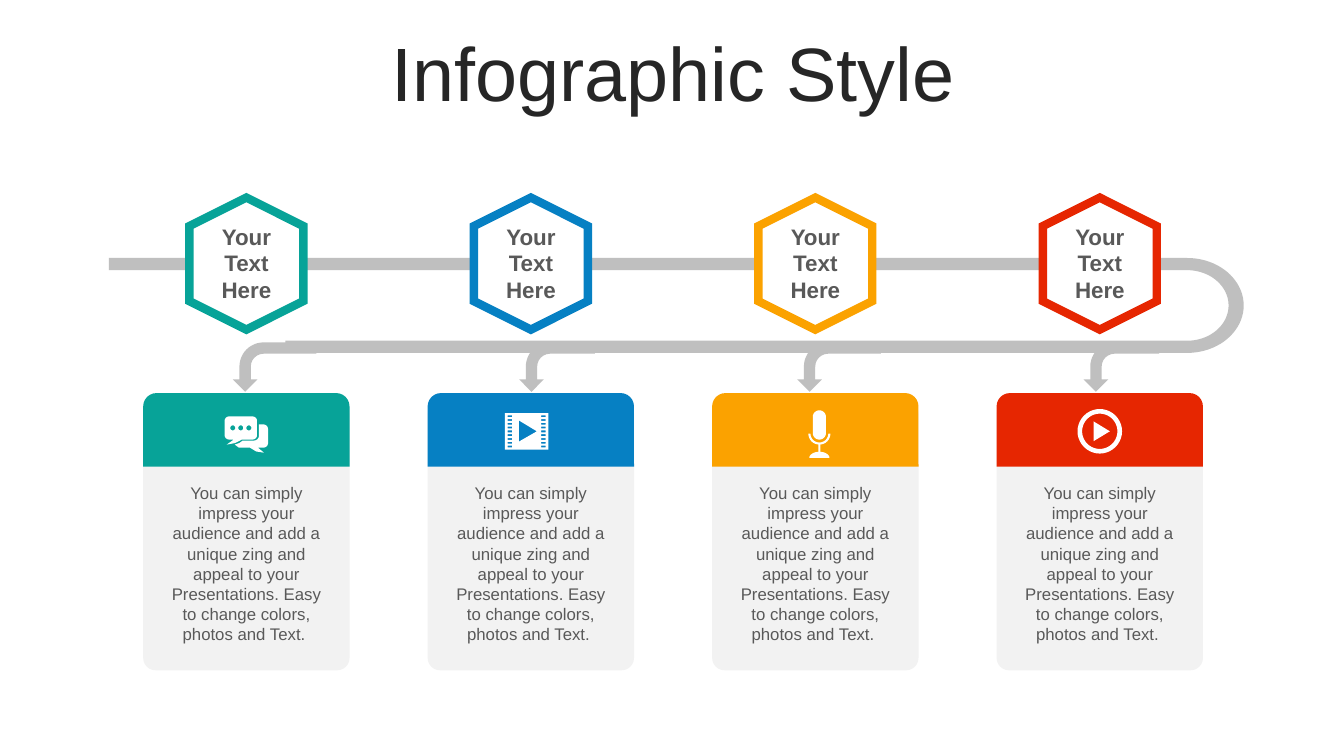
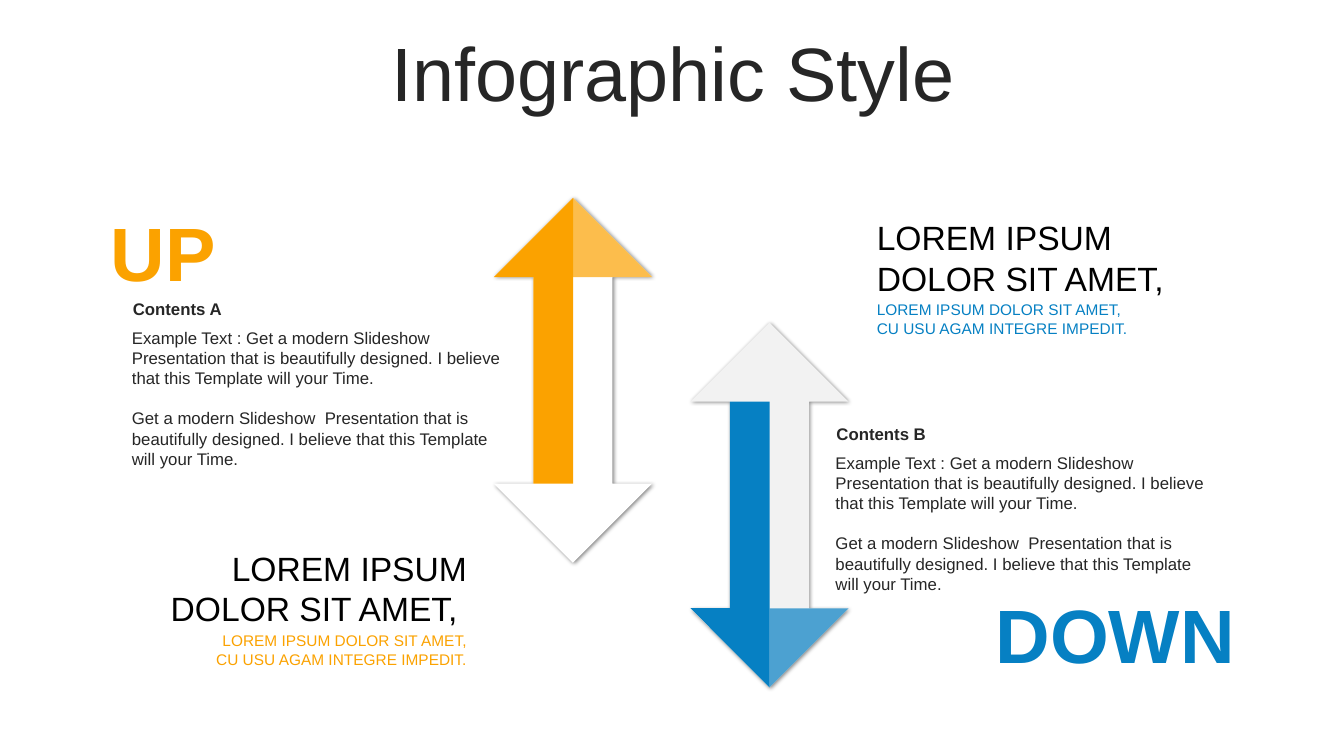
from math import cos, radians, sin

from lxml.etree import SubElement
from pptx import Presentation
from pptx.dml.color import RGBColor
from pptx.enum.shapes import MSO_SHAPE
from pptx.enum.text import MSO_ANCHOR, PP_ALIGN
from pptx.oxml.ns import qn
from pptx.util import Pt

FONT = "Arial"
TEAL, BLUE, ORANGE, RED = "07A398", "0680C3", "FBA200", "E62601"
WHITE, PALE, TRACK = "FFFFFF", "F2F2F2", "BFBFBF"
BLACK, DARK, GREY = "000000", "262626", "595959"

CARD_TEXT = ("You can simply impress your audience and add a unique zing and appeal "
             "to your Presentations. Easy to change colors, photos and Text. ")
PITCH_TEXT = ("Get a modern Slideshow  Presentation that is beautifully designed. "
              "I believe that this Template will your Time.")


def rgb(color):
    return RGBColor.from_string(color)


def paint(shape, color, alpha=None):
    """Flat fill without outline or shadow; alpha is a percentage."""
    shape.shadow.inherit = False
    shape.fill.solid()
    shape.fill.fore_color.rgb = rgb(color)
    shape.line.fill.background()
    if alpha is not None:
        srgb = shape.element.spPr.find(qn("a:solidFill")).find(qn("a:srgbClr"))
        SubElement(srgb, qn("a:alpha"), val=str(alpha * 1000))


def add_preset(slide, kind, left, top, width, height, color, adjustments=()):
    shape = slide.shapes.add_shape(kind, Pt(left), Pt(top), Pt(width), Pt(height))
    paint(shape, color)
    for index, value in enumerate(adjustments):
        shape.adjustments[index] = value
    return shape


def add_outline(slide, contours, color, dx=0, dy=0, alpha=None):
    """Draw closed contours as one shape; inner contours become holes."""
    placed = [[(Pt(x + dx), Pt(y + dy)) for x, y in points] for points in contours]
    builder = slide.shapes.build_freeform(*placed[0][0])
    for index, points in enumerate(placed):
        if index:
            builder.move_to(*points[0])
        builder.add_line_segments(points[1:], close=True)
    shape = builder.convert_to_shape()
    paint(shape, color, alpha)
    return shape


def add_shadow(shape):
    effects = shape.element.spPr.find(qn("a:effectLst"))
    shadow = SubElement(effects, qn("a:outerShdw"), blurRad=str(Pt(3)), dist=str(Pt(1)),
                        dir=str(45 * 60000), algn="tl", rotWithShape="0")
    srgb = SubElement(shadow, qn("a:srgbClr"), val=BLACK)
    SubElement(srgb, qn("a:alpha"), val="47000")


def add_text(slide, box, lines, size, color, bold=False, align=PP_ALIGN.LEFT,
             anchor=MSO_ANCHOR.TOP, gap=0):
    """Write one paragraph per line, with gap points between them."""
    frame = slide.shapes.add_textbox(*map(Pt, box)).text_frame
    frame.word_wrap = True
    frame.vertical_anchor = anchor
    frame.text = "\n".join(lines)
    for index, paragraph in enumerate(frame.paragraphs):
        paragraph.alignment = align
        if index and gap:
            paragraph.space_before = Pt(gap)
        for run in paragraph.runs:
            run.font.name = FONT
            run.font.size = Pt(size)
            run.font.bold = bold
            run.font.color.rgb = rgb(color)
    return frame


def add_title_slide(deck):
    slide = deck.slides.add_slide(deck.slide_layouts[6])
    title = add_text(slide, (25.2, 26.6, 911.5, 56.9), ["Infographic Style"], 54, DARK,
                     align=PP_ALIGN.CENTER, anchor=MSO_ANCHOR.MIDDLE).paragraphs[0]
    title.line_spacing = 0.9
    title.space_before = Pt(10)
    return slide


def arc(cx, cy, rx, ry, start, end, steps=16):
    """Points of an arc; angles run clockwise from the right, in degrees."""
    angles = [radians(start + (end - start) * i / steps) for i in range(steps + 1)]
    return [(cx + rx * cos(a), cy + ry * sin(a)) for a in angles]


def circle(cx, cy, radius):
    return arc(cx, cy, radius, radius, 0, 360, 40)[:-1]


def rectangle(left, top, width, height):
    right, bottom = left + width, top + height
    return [(left, top), (right, top), (right, bottom), (left, bottom)]


def round_rectangle(left, top, right, bottom, r, tail=()):
    """Tail points are inserted in the bottom edge, from right to left."""
    return (arc(left + r, top + r, r, r, 180, 270) + arc(right - r, top + r, r, r, 270, 360)
            + arc(right - r, bottom - r, r, r, 0, 90) + list(tail)
            + arc(left + r, bottom - r, r, r, 90, 180))


# Icon contours are measured from the middle of a card's header.
def chat_icon():
    front = round_rectangle(-15.5, -9.6, 7.6, 6.9, 3.2,
                            [(-3.2, 6.9), (-8, 9.4), (-14, 10.5), (-9, 6.9)])
    back = ([(9, -3.9)] + arc(12.1, -0.5, 3.4, 3.4, 270, 360)
            + arc(12.1, 9.3, 3.4, 3.4, 0, 90)
            + [(8.3, 12.7), (12.6, 16.3), (7, 15.4), (2.5, 12.7), (-5.4, 12.7), (-8.3, 10.5),
               (-5, 9.4), (-2.5, 7.6)] + arc(5.4, 4, 3.6, 3.6, 90, 0))
    return [front, back] + [circle(x, -1.4, 1.8) for x in (-9.7, -4, 1.8)]


def film_icon():
    holes = [rectangle(x, -10.4 + 2.7 * row, 3.2, 1.3)
             for x in (-16.5, 7.3) for row in range(9)]
    return [rectangle(-18.5, -12, 31, 26), [(-8.6, -6.8), (-8.6, 8.4), (4.3, 1)]] + holes


def microphone_icon():
    x = 2.9
    holder = arc(x, 2.6, 7.9, 7.9, 0, 180) + arc(x, 2.6, 6.4, 6.4, 180, 0)
    return [round_rectangle(x - 4.7, -14, x + 4.7, 6.9, 4.7), holder,
            rectangle(x - 0.8, 10.5, 1.6, 5.1), arc(x, 20, 7.2, 4.4, 180, 360)]


def play_icon():
    return [circle(0, 1, 15.9), circle(0, 1, 12.6), [(-4.3, -6), (7.2, 1), (-4.3, 8)]]


def add_track(slide):
    turn_x, turn_y = 848, 218.2
    outer = arc(turn_x, turn_y, 40.4, 33.9, -90, 90, 40)
    inner = arc(turn_x, turn_y, 29.6, 25.2, 90, -90, 40)
    start, end = 77.8, 203.8
    add_outline(slide, [[(start, outer[0][1])] + outer + [(end, outer[-1][1]), (end, inner[0][1])]
                        + inner + [(start, inner[-1][1])]], TRACK)


def add_branch(slide, index):
    """Bent arrow that leaves the track and points down to a card."""
    width, height = 35.3, (59.8, 54)[index % 2]
    cx, cy = 196.2 + 201.6 * index, 262.2
    arrow = add_preset(slide, MSO_SHAPE.BENT_ARROW, cx - width / 2, cy - height / 2,
                       width, height, TRACK, (0.23, 0.25, 0.25, 0.49))
    arrow.rotation = 270
    arrow.element.spPr.find(qn("a:xfrm")).set("flipH", "1")


def add_stage(slide, cx, color, icon):
    """Hexagon on the track with its card below."""
    width, height = 94.3, 81.4
    hexagon = add_preset(slide, MSO_SHAPE.HEXAGON, cx - width / 2, 188.3 - height / 2,
                         width, height, WHITE)
    hexagon.rotation = 270
    hexagon.line.color.rgb = rgb(color)
    hexagon.line.width = Pt(6)
    SubElement(hexagon.element.spPr.find(qn("a:ln")), qn("a:miter"), lim="800000")
    add_text(slide, (cx - 37.4, 155.5, 74.8, 65.5), ["Your Text Here"], 16, GREY, True,
             PP_ALIGN.CENTER)

    card_width, header_top, header_height = 147.4, 280.8, 52.6
    left = cx - card_width / 2
    add_preset(slide, MSO_SHAPE.ROUNDED_RECTANGLE, left, 286.6, card_width, 192.2, PALE, (0.06,))
    add_preset(slide, MSO_SHAPE.ROUND_2_SAME_RECTANGLE, left, header_top, card_width,
               header_height, color, (0.18, 0))
    add_text(slide, (cx - 60.8, 341.3, 121.7, 123.8), [CARD_TEXT], 12, GREY,
             align=PP_ALIGN.CENTER)
    add_outline(slide, icon, WHITE, cx, header_top + header_height / 2)


def add_split_arrow(slide, left, top, base, color, up):
    """Double arrow whose left half and one whole head are coloured."""
    width, height = 113, 260.6
    head, quarter, middle = width / 2, width / 4, left + width / 2
    arrow = add_preset(slide, MSO_SHAPE.UP_DOWN_ARROW, left, top, width, height, base)
    add_shadow(arrow)
    tip, step = (top, 1) if up else (top + height, -1)
    shoulder, end = tip + step * head, tip + step * (height - head)
    add_outline(slide, [[(middle, tip), (middle, end), (left + quarter, end),
                         (left + quarter, shoulder), (left, shoulder)]], color)
    add_outline(slide, [[(middle, tip), (left + width, shoulder), (middle, shoulder)]],
                color, alpha=70)


def add_contents(slide, left, top, heading):
    add_text(slide, (left + 0.7, top, 284, 21.6), [heading], 12, DARK, True)
    add_text(slide, (left, top + 20.9, 284, 108.7), ["Example Text : " + PITCH_TEXT, PITCH_TEXT],
             12, DARK, gap=14.4)


def add_headline(slide, left, top, color, align, last_line):
    add_text(slide, (left, top, 255.6, 65.5), ["LOREM IPSUM", last_line], 24, BLACK,
             align=align, anchor=MSO_ANCHOR.MIDDLE)
    add_text(slide, (left, top + 59.8, 255.6, 33.8),
             ["LOREM IPSUM DOLOR SIT AMET,", "CU USU AGAM INTEGRE IMPEDIT."], 11, color,
             align=align, anchor=MSO_ANCHOR.MIDDLE)


def build_process_slide(deck):
    slide = add_title_slide(deck)
    stages = [(TEAL, chat_icon()), (BLUE, film_icon()),
              (ORANGE, microphone_icon()), (RED, play_icon())]
    add_track(slide)
    for index, (color, icon) in enumerate(stages):
        add_branch(slide, index)
        add_stage(slide, 176 + 203.2 * index, color, icon)


def build_up_down_slide(deck):
    slide = add_title_slide(deck)
    for box, word, color, align in (
            ((72, 143.3, 118.8, 72.7), "UP", ORANGE, PP_ALIGN.LEFT),
            ((690.5, 416.2, 198.7, 72.7), "DOWN", BLUE, PP_ALIGN.RIGHT)):
        add_text(slide, box, [word], 54, color, True, align, MSO_ANCHOR.MIDDLE)
    add_split_arrow(slide, 352.8, 141.4, WHITE, ORANGE, up=True)
    add_split_arrow(slide, 493.2, 230.4, PALE, BLUE, up=False)
    add_contents(slide, 87.1, 209.5, "Contents A")
    add_contents(slide, 589.7, 298.8, "Contents B")
    add_headline(slide, 619.2, 151.2, BLUE, PP_ALIGN.LEFT, "DOLOR SIT AMET,")
    add_headline(slide, 85, 387.4, ORANGE, PP_ALIGN.RIGHT, "DOLOR SIT AMET, ")


def main():
    deck = Presentation()
    deck.slide_width, deck.slide_height = Pt(960), Pt(540)
    build_process_slide(deck)
    build_up_down_slide(deck)
    deck.save("out.pptx")


if __name__ == "__main__":
    main()
